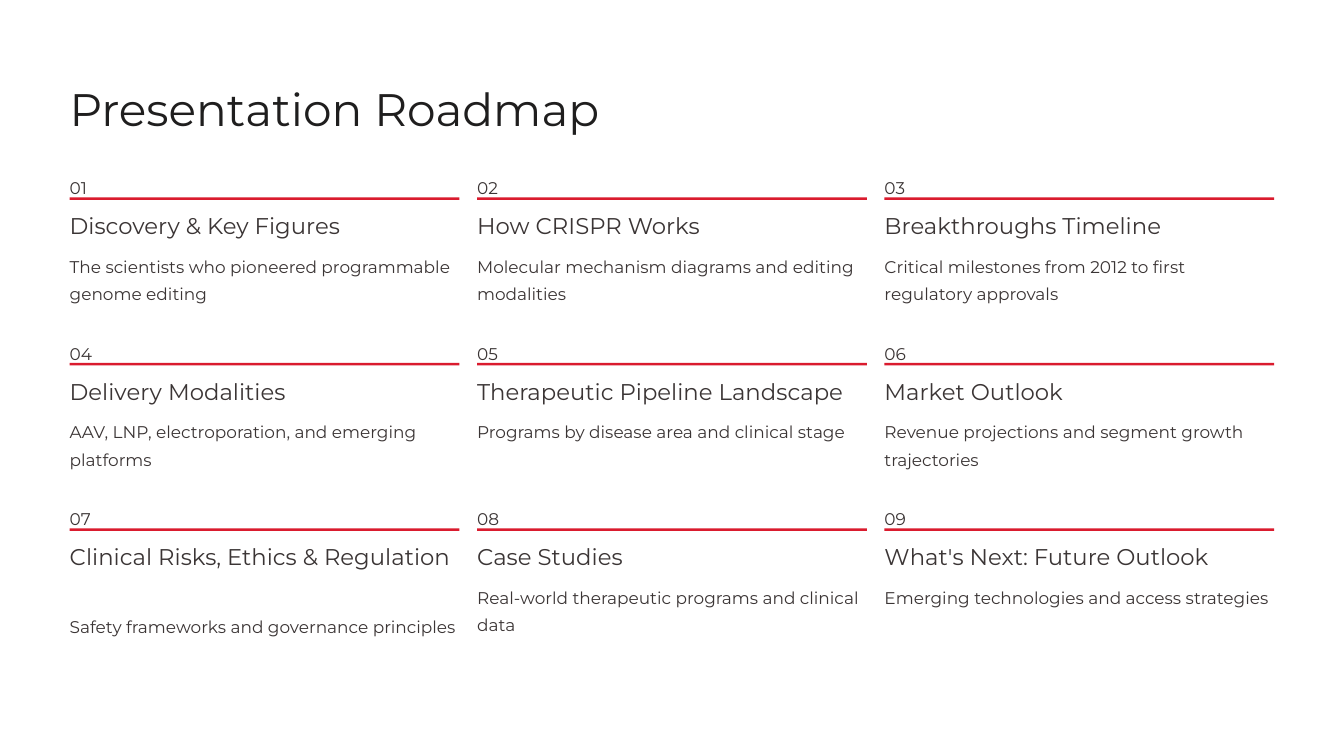
from pptx import Presentation
from pptx.dml.color import RGBColor
from pptx.enum.shapes import MSO_SHAPE
from pptx.enum.text import MSO_ANCHOR, MSO_AUTO_SIZE, PP_ALIGN
from pptx.util import Inches, Pt

TITLE = "Presentation Roadmap"
SECTIONS = [
    ("Discovery & Key Figures", "The scientists who pioneered programmable genome editing"),
    ("How CRISPR Works", "Molecular mechanism diagrams and editing modalities"),
    ("Breakthroughs Timeline", "Critical milestones from 2012 to first regulatory approvals"),
    ("Delivery Modalities", "AAV, LNP, electroporation, and emerging platforms"),
    ("Therapeutic Pipeline Landscape", "Programs by disease area and clinical stage"),
    ("Market Outlook", "Revenue projections and segment growth trajectories"),
    ("Clinical Risks, Ethics & Regulation", "Safety frameworks and governance principles"),
    ("Case Studies", "Real-world therapeutic programs and clinical data"),
    ("What's Next: Future Outlook", "Emerging technologies and access strategies"),
]
TALL_HEADING = "Clinical Risks, Ethics & Regulation"
COLORS = {"title": "1F1E1E", "text": "3B3535", "rule": "DA1B2E"}
FONT = "Montserrat"
COLUMNS = 3
LEFT, TOP = 0.83, 2.03
COLUMN_WIDTH, COLUMN_STEP, ROW_STEP = 4.64, 4.85, 1.97
RULE_DROP, HEADING_DROP, SUMMARY_DROP = 0.32, 0.48, 0.94
HEADING_LINE = 0.34


def place(shape, left, top, width, height):
    shape.left, shape.top = Inches(left), Inches(top)
    shape.width, shape.height = Inches(width), Inches(height)


def write(box, text, size=14.5, spacing=23.5, color="text"):
    frame = box.text_frame
    frame.word_wrap = True
    frame.auto_size = MSO_AUTO_SIZE.NONE
    frame.vertical_anchor = MSO_ANCHOR.TOP
    frame.margin_left = frame.margin_right = 0
    frame.margin_top = frame.margin_bottom = 0
    para = frame.paragraphs[0]
    para.alignment = PP_ALIGN.LEFT
    para.line_spacing = Pt(spacing)
    para.space_before = Pt(0)
    span = para.add_run()
    span.text = text
    span.font.name = FONT
    span.font.size = Pt(size)
    span.font.color.rgb = RGBColor.from_string(COLORS[color])


def add_label(page, text, left, top, height, **style):
    box = page.shapes.add_textbox(0, 0, 0, 0)
    place(box, left, top, COLUMN_WIDTH, height)
    write(box, text, **style)


def add_rule(page, left, top):
    rule = page.shapes.add_shape(MSO_SHAPE.RECTANGLE, 0, 0, 0, 0)
    place(rule, left, top, COLUMN_WIDTH, 0.03)
    rule.shadow.inherit = False
    rule.fill.solid()
    rule.fill.fore_color.rgb = RGBColor.from_string(COLORS["rule"])
    rule.line.fill.background()


def add_section(page, index, heading, summary):
    row, column = divmod(index, COLUMNS)
    left = LEFT + column * COLUMN_STEP
    top = TOP + row * ROW_STEP
    extra = HEADING_LINE if heading == TALL_HEADING else 0
    add_label(page, f"{index + 1:02d}", left, top, 0.26)
    add_rule(page, left, top + RULE_DROP)
    add_label(page, heading, left, top + HEADING_DROP, HEADING_LINE + extra, size=19.5, spacing=24.5)
    add_label(page, summary, left, top + SUMMARY_DROP + extra, 0.66)


def main():
    deck = Presentation()
    deck.slide_width, deck.slide_height = Inches(16), Inches(9)
    page = deck.slides.add_slide(deck.slide_layouts[5])
    title = page.shapes.title
    place(title, LEFT, 0.93, 14.34, 0.68)
    write(title, TITLE, size=39, spacing=49, color="title")
    for index, (heading, summary) in enumerate(SECTIONS):
        add_section(page, index, heading, summary)
    deck.save("out.pptx")


if __name__ == "__main__":
    main()
